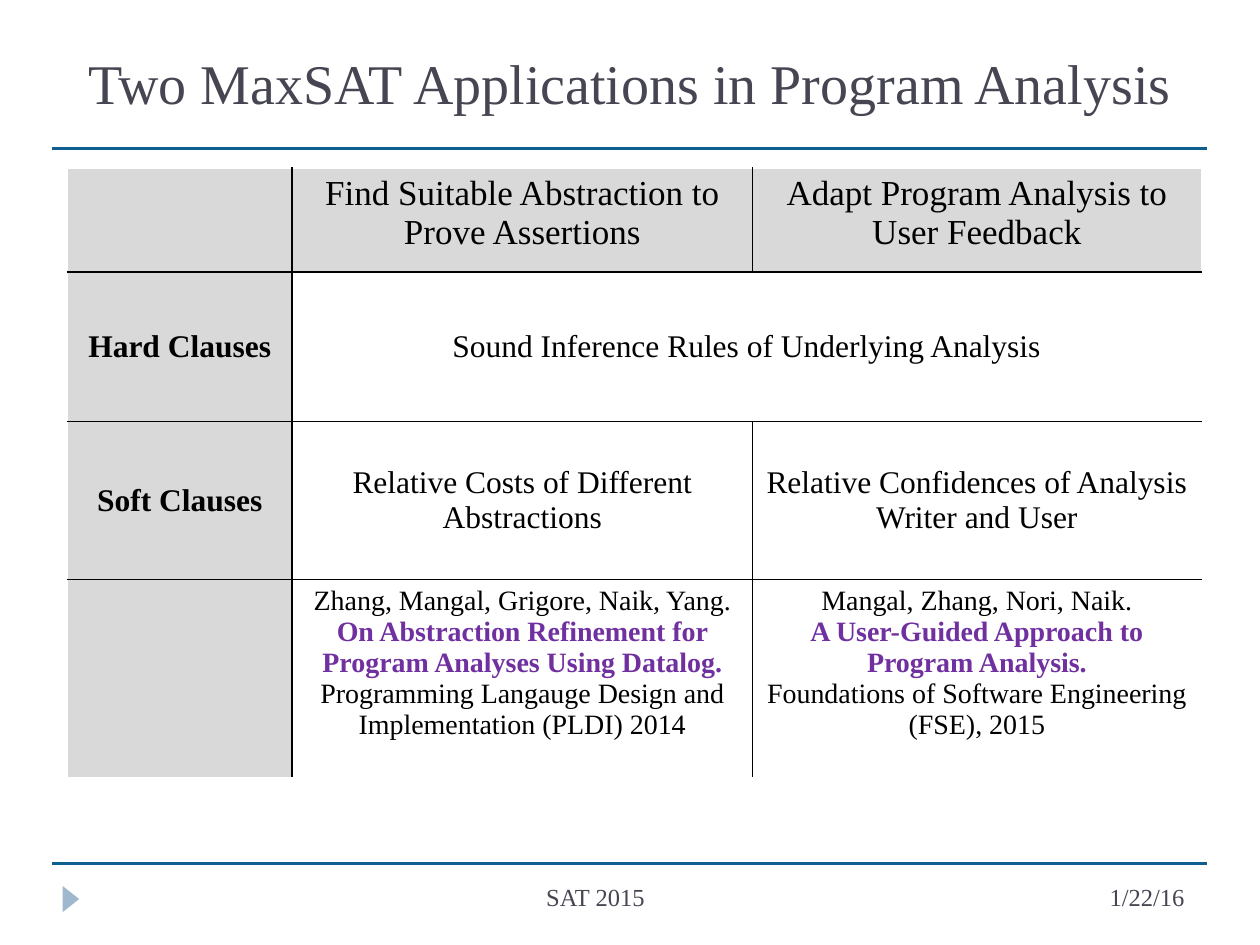
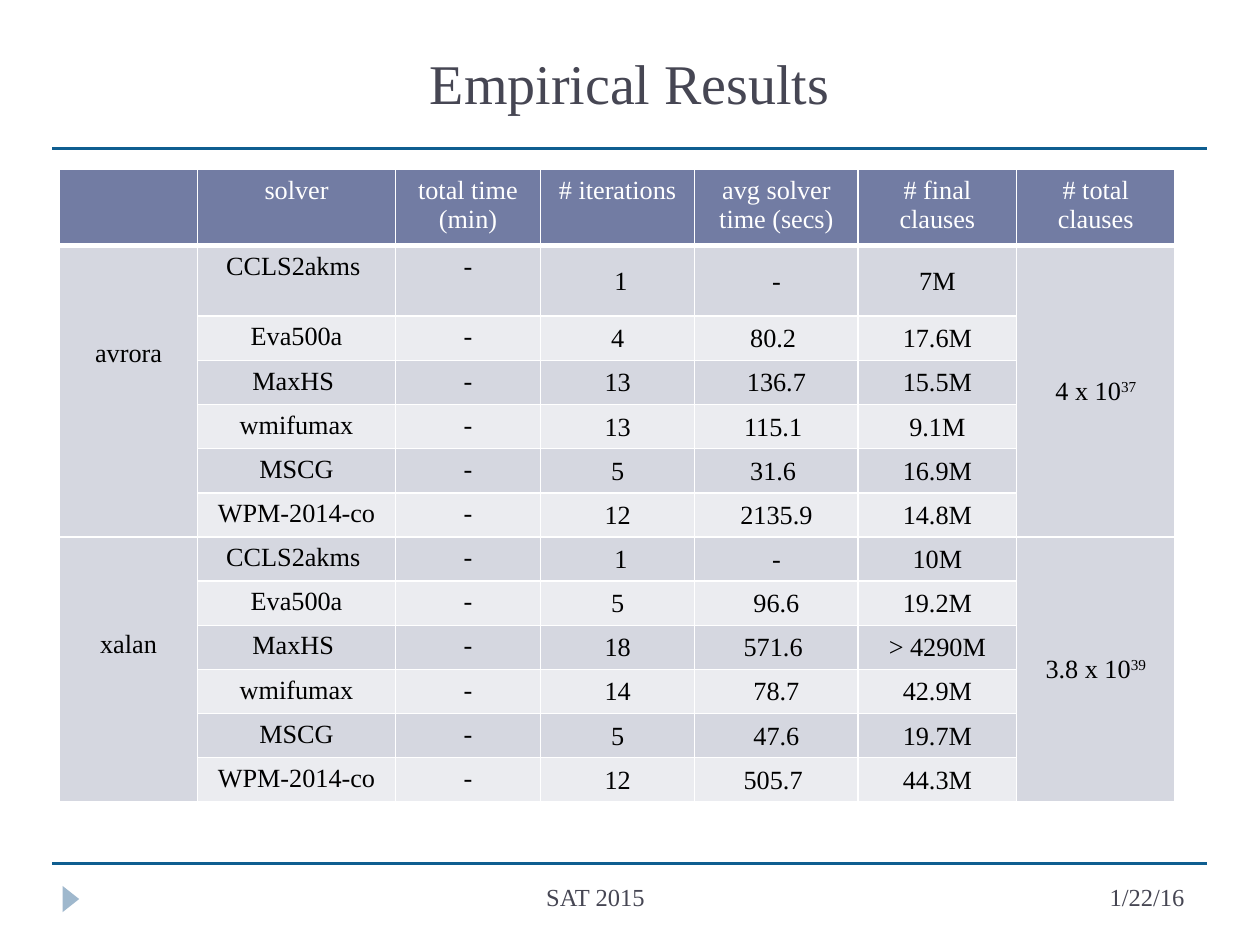
from dataclasses import dataclass
from itertools import product
from typing import Optional

from pptx import Presentation
from pptx.dml.color import RGBColor
from pptx.enum.shapes import MSO_CONNECTOR, MSO_SHAPE
from pptx.enum.text import MSO_ANCHOR as ANCHOR, PP_ALIGN as ALIGN
from pptx.oxml.ns import qn
from pptx.util import Pt
from lxml.etree import SubElement

FONT = "Times New Roman"
COLORS = {
    "white": "FFFFFF",
    "black": "000000",
    "title": "464653",
    "rule": "0F5E90",
    "marker": "9FB8CD",
    "label": "D9D9D9",
    "paper": "7030A0",
    "header": "727CA3",
    "odd": "D5D7E0",
    "even": "EBECF0",
}


@dataclass
class Run:
    text: str
    size: float
    color: str = "black"
    bold: bool = False
    superscript: bool = False


@dataclass
class Cell:
    paragraphs: list[list[Run]]
    fill: Optional[str] = None
    anchor: ANCHOR = ANCHOR.TOP
    margins: tuple[float, float, float, float] = (7.2, 3.6, 7.2, 3.6)


@dataclass
class Footer:
    text: str
    left: float
    width: float
    align: ALIGN


@dataclass
class Edges:
    outer: str
    inner: str


FOOTERS = [
    Footer("1/22/16", 504, 180, ALIGN.RIGHT),
    Footer("SAT 2015", 112.5, 455.5, ALIGN.CENTER),
]
RULE_TOPS = (85, 493.2)


def rgb(name: str) -> RGBColor:
    return RGBColor.from_string(COLORS[name])


def add_run(p, run: Run) -> None:
    r = p.add_run()
    r.text = run.text
    r.font.name, r.font.size, r.font.bold = FONT, Pt(run.size), run.bold
    r.font.color.rgb = rgb(run.color)
    if run.superscript:
        r._r.get_or_add_rPr().set("baseline", "30000")


def write(tf, paragraphs: list[list[Run]], align: ALIGN = ALIGN.CENTER) -> None:
    tf.word_wrap = True
    for i, runs in enumerate(paragraphs):
        p = tf.add_paragraph() if i else tf.paragraphs[0]
        p.alignment = align
        for run in runs:
            add_run(p, run)


def add_rule(s, top: float) -> None:
    line = s.shapes.add_connector(
        MSO_CONNECTOR.STRAIGHT, Pt(30), Pt(top), Pt(690), Pt(top))
    line.line.color.rgb = rgb("rule")
    line.line.width = Pt(1.75)
    SubElement(line._element.spPr, qn("a:effectLst"))


def add_marker(s) -> None:
    sp = s.shapes.add_shape(
        MSO_SHAPE.ISOSCELES_TRIANGLE, Pt(33), Pt(509), Pt(15), Pt(9.5))
    sp.rotation = 90
    sp.shadow.inherit = False
    sp.fill.solid()
    sp.fill.fore_color.rgb = rgb("marker")
    sp.line.fill.background()


def new_slide(prs, title: str):
    s = prs.slides.add_slide(prs.slide_layouts[5])
    sp = s.shapes.title
    sp.left, sp.top, sp.width, sp.height = Pt(36), Pt(12), Pt(648), Pt(70)
    sp.text_frame.vertical_anchor = ANCHOR.MIDDLE
    write(sp.text_frame, [[Run(title, 32, "title")]])
    add_marker(s)
    for top in RULE_TOPS:
        add_rule(s, top)
    for footer in FOOTERS:
        box = s.shapes.add_textbox(
            Pt(footer.left), Pt(500.4), Pt(footer.width), Pt(28.8))
        write(box.text_frame, [[Run(footer.text, 14, "title")]], footer.align)
    return s


def set_border(cell, side: str, color: str, width: float) -> None:
    tcPr = cell._tc.get_or_add_tcPr()
    ln = SubElement(tcPr, qn(f"a:ln{side}"), w=str(Pt(width)))
    fill = SubElement(ln, qn("a:solidFill"))
    SubElement(fill, qn("a:srgbClr"), val=COLORS[color])


def fill_cell(cell, content: Cell) -> None:
    if content.fill:
        cell.fill.solid()
        cell.fill.fore_color.rgb = rgb(content.fill)
    else:
        cell.fill.background()
    cell.vertical_anchor = content.anchor
    left, top, right, bottom = map(Pt, content.margins)
    cell.margin_left, cell.margin_top = left, top
    cell.margin_right, cell.margin_bottom = right, bottom
    write(cell.text_frame, content.paragraphs)


def add_table(s, left: float, top: float, widths: list[float], heights: list[float],
              cells: dict[tuple[int, int], Cell], spans: list[tuple[int, int, int, int]],
              edges: Edges, header_line: float = 1) -> None:
    n_rows, n_cols = len(heights), len(widths)
    table = s.shapes.add_table(n_rows, n_cols, Pt(left), Pt(top),
                               Pt(sum(widths)), Pt(sum(heights))).table
    table.first_row = table.horz_banding = False
    for column, width in zip(table.columns, widths):
        column.width = Pt(width)
    for row, height in zip(table.rows, heights):
        row.height = Pt(height)
    for r1, c1, r2, c2 in spans:
        table.cell(r1, c1).merge(table.cell(r2, c2))
    for row, col in product(range(n_rows), range(n_cols)):
        cell = table.cell(row, col)
        if cell.is_spanned:
            continue
        at_edge = {
            "L": col == 0,
            "R": col + cell.span_width == n_cols,
            "T": row == 0,
            "B": row + cell.span_height == n_rows,
        }
        for side, outer in at_edge.items():
            width = header_line if row == 0 and side == "B" else 1
            set_border(cell, side, edges.outer if outer else edges.inner, width)
        fill_cell(cell, cells[row, col])


def paper(authors: str, title: str, venue: str) -> Cell:
    return Cell([[Run(authors, 16)], [Run(title, 16, "paper", True)], [Run(venue, 16)]])


def clause_label(text: str) -> Cell:
    return Cell([[Run(text, 18, bold=True)]], "label", ANCHOR.MIDDLE)


def clause_text(text: str) -> Cell:
    return Cell([[Run(text, 18)]], anchor=ANCHOR.MIDDLE)


def applications_slide(prs) -> None:
    s = new_slide(prs, "Two MaxSAT Applications in Program Analysis")
    cells = {
        (0, 0): Cell([], "label"),
        (0, 1): Cell([[Run("Find Suitable Abstraction to Prove Assertions", 20)]], "label"),
        (0, 2): Cell([[Run("Adapt Program Analysis to User Feedback", 20)]], "label"),
        (1, 0): clause_label("Hard Clauses"),
        (1, 1): clause_text("Sound Inference Rules of Underlying Analysis"),
        (2, 0): clause_label("Soft Clauses"),
        (2, 1): clause_text("Relative Costs of Different Abstractions"),
        (2, 2): clause_text("Relative Confidences of Analysis Writer and User"),
        (3, 0): Cell([], "label"),
        (3, 1): paper("Zhang, Mangal, Grigore, Naik, Yang.",
                      "On Abstraction Refinement for Program Analyses Using Datalog.",
                      "Programming Langauge Design and Implementation (PLDI) 2014"),
        (3, 2): paper("Mangal, Zhang, Nori, Naik.",
                      "A User-Guided Approach to Program Analysis.",
                      "Foundations of Software Engineering (FSE), 2015"),
    }
    add_table(s, 38.5, 96, [128.5, 263, 256.5], [59.5, 85.5, 90, 113.5],
              cells, [(1, 1, 1, 2)], Edges("white", "black"))


HEADERS = [[], ["solver"], ["total time (min)"], ["# iterations"],
           ["avg solver time (secs)"], ["# final", "clauses"], ["# total clauses"]]
SOLVERS = ["CCLS2akms ", "Eva500a", "MaxHS ", "wmifumax", "MSCG", "WPM-2014-co"]
BENCHMARKS = [
    ("avrora", "4 x 10", "37", [
        (" 1", "-", "7M"), ("4", "80.2 ", "17.6M"), ("13", "136.7", "15.5M"),
        ("13", "115.1 ", "9.1M"), ("5", "31.6 ", "16.9M"), ("12", "2135.9", "14.8M")]),
    ("xalan", "3.8 x 10", "39", [
        (" 1", "-", "10M"), ("5", "96.6", "19.2M"), ("18", "571.6 ", "> 4290M"),
        ("14", "78.7", "42.9M"), ("5", "47.6", "19.7M"), ("12", "505.7 ", "44.3M")]),
]
TIGHT = (0.7, 0.7, 0.7, 0)
NAME_MARGINS = (7.2, 53.4, 7.2, 3.6)


def results_slide(prs) -> None:
    s = new_slide(prs, "Empirical Results")
    size = 15
    cells = {(0, col): Cell([[Run(line, size, "white")] for line in lines], "header")
             for col, lines in enumerate(HEADERS)}
    spans = []
    for i, (name, total, exponent, results) in enumerate(BENCHMARKS):
        first = 1 + i * len(SOLVERS)
        last = first + len(SOLVERS) - 1
        spans += [(first, col, last, col) for col in (0, 6)]
        cells[first, 0] = Cell([[Run(name, size)]], "odd", margins=NAME_MARGINS)
        cells[first, 6] = Cell(
            [[Run(total, size), Run(exponent, size, superscript=True)]],
            "odd", ANCHOR.MIDDLE, TIGHT)
        for row, (solver, values) in enumerate(zip(SOLVERS, results), first):
            band = "odd" if row % 2 else "even"
            for col, text in enumerate((solver, "-"), 1):
                cells[row, col] = Cell([[Run(text, size)]], band)
            for col, text in enumerate(values, 3):
                cells[row, col] = Cell([[Run(text, size)]], band, ANCHOR.MIDDLE, TIGHT)
    add_table(s, 34, 97, [79, 113, 83, 88, 93.5, 90.5, 90.5],
              [42.5, 40.5] + [24.7] * 11, cells, spans,
              Edges("white", "white"), header_line=3)


def main() -> None:
    prs = Presentation()
    prs.slide_width, prs.slide_height = Pt(720), Pt(540)
    applications_slide(prs)
    results_slide(prs)
    prs.save("out.pptx")


if __name__ == "__main__":
    main()
